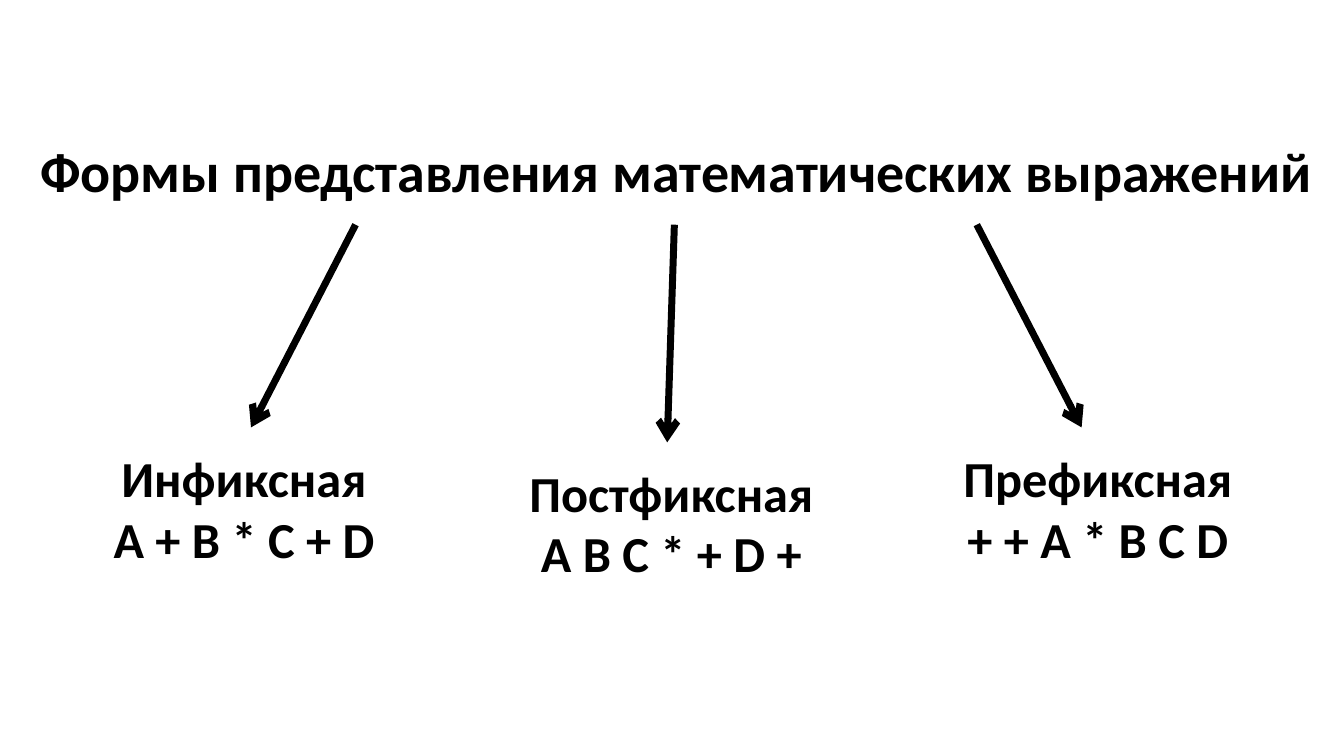
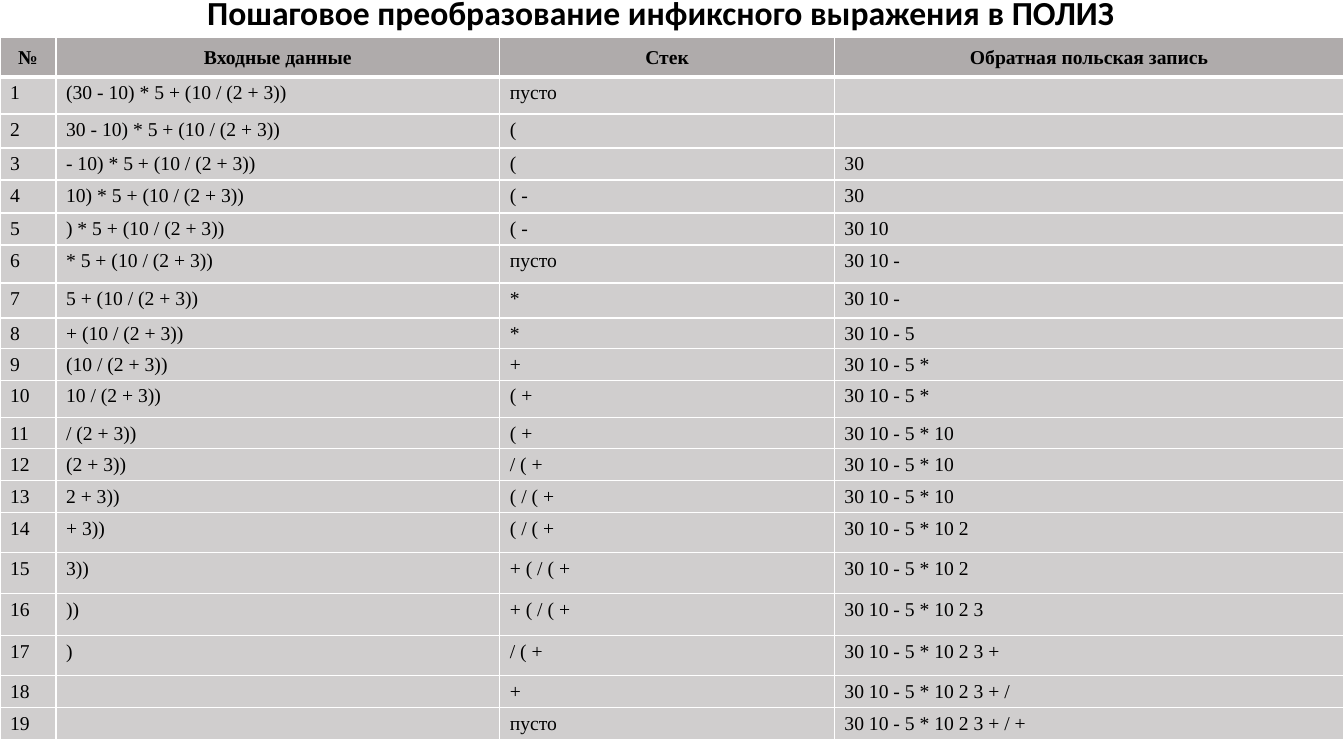
from lxml.etree import SubElement
from pptx import Presentation
from pptx.dml.color import RGBColor
from pptx.enum.shapes import MSO_CONNECTOR
from pptx.enum.text import MSO_ANCHOR, MSO_AUTO_SIZE, PP_ALIGN
from pptx.oxml.ns import qn
from pptx.util import Pt

BLACK, WHITE, HEADER_GRAY, BODY_GRAY = "000000", "FFFFFF", "AFABAB", "D0CECE"
HEADING_FONT, TABLE_FONT = "Calibri", "Times New Roman"

# Content: notation, expression, box (left, top, width, height), arrow (from, to)
FORMS_TITLE = "Формы представления математических выражений"
FORMS = [
    ("Инфиксная", "A + B * C + D", (40.3, 316, 268, 99), ((254, 160.5), (179.3, 305.3))),
    ("Постфиксная", "A B C * + D +", (345.6, 326.2, 268, 98), ((481.7, 160.5), (476.6, 316))),
    ("Префиксная", "+ + A * B C D", (650.2, 316, 268, 92), ((697.7, 160.5), (772.6, 305.3))),
]

STEPS_TITLE = "Пошаговое преобразование инфиксного выражения в ПОЛИЗ"
HEADERS = ("№", "Входные данные", "Стек", "Обратная польская запись")
COLUMN_WIDTHS = (40, 317, 239, 364)
HEADER_HEIGHT = 28.4
# Row height, remaining input, stack, output
STEPS = [
    (26.4, "(30 - 10) * 5 + (10 / (2 + 3))", "пусто", ""),
    (24.3, "30 - 10) * 5 + (10 / (2 + 3))", "(", ""),
    (22.9, "- 10) * 5 + (10 / (2 + 3))", "(", "30"),
    (23.6, "10) * 5 + (10 / (2 + 3))", "( -", "30"),
    (22.9, ") * 5 + (10 / (2 + 3))", "( -", "30 10"),
    (27.1, "* 5 + (10 / (2 + 3))", "пусто", "30 10 -"),
    (25, "5 + (10 / (2 + 3))", "*", "30 10 -"),
    (22.1, "+ (10 / (2 + 3))", "*", "30 10 - 5"),
    (22.5, "(10 / (2 + 3))", "+", "30 10 - 5 *"),
    (26.8, "10 / (2 + 3))", "( +", "30 10 - 5 *"),
    (22.1, "/ (2 + 3))", "( +", "30 10 - 5 * 10"),
    (22.9, "(2 + 3))", "/ ( +", "30 10 - 5 * 10"),
    (22.9, "2 + 3))", "( / ( +", "30 10 - 5 * 10"),
    (28.6, "+ 3))", "( / ( +", "30 10 - 5 * 10 2"),
    (29.3, "3))", "+ ( / ( +", "30 10 - 5 * 10 2"),
    (30, "))", "+ ( / ( +", "30 10 - 5 * 10 2 3"),
    (28.6, ")", "/ ( +", "30 10 - 5 * 10 2 3 +"),
    (22.9, "", "+", "30 10 - 5 * 10 2 3 + /"),
    (22.1, "", "пусто", "30 10 - 5 * 10 2 3 + / +"),
]


def color(value):
    return RGBColor.from_string(value)


def write(frame, *lines, size, font=HEADING_FONT, bold=True, align=PP_ALIGN.CENTER):
    for index, line in enumerate(lines):
        paragraph = frame.add_paragraph() if index else frame.paragraphs[0]
        paragraph.alignment = align
        if not line:
            # Keeps an empty table row from growing to the default text size
            paragraph._p.get_or_add_endParaRPr().set("sz", str(size * 100))
            continue
        run = paragraph.add_run()
        run.text = line
        run.font.size, run.font.name, run.font.bold = Pt(size), font, bold
        run.font.color.rgb = color(BLACK)


def add_titled_slide(deck, title_text, box, size):
    slide = deck.slides.add_slide(deck.slide_layouts[5])
    title = slide.shapes.title
    title.left, title.top, title.width, title.height = map(Pt, box)
    frame = title.text_frame
    frame.word_wrap, frame.auto_size = True, MSO_AUTO_SIZE.NONE
    frame.vertical_anchor = MSO_ANCHOR.MIDDLE
    write(frame, title_text, size=size)
    return slide


def add_arrow(slide, start, end):
    arrow = slide.shapes.add_connector(MSO_CONNECTOR.STRAIGHT, *map(Pt, start + end))
    arrow.line.color.rgb = color(BLACK)
    arrow.line.width = Pt(5)
    SubElement(arrow.line._get_or_add_ln(), qn("a:tailEnd"), type="arrow")
    SubElement(arrow._element.spPr, qn("a:effectLst"))


def style_cell(cell, fill, top=1, bottom=1):
    properties = cell._tc.get_or_add_tcPr()
    for side, width in (("L", 1), ("R", 1), ("T", top), ("B", bottom)):
        border = SubElement(properties, qn(f"a:ln{side}"), w=str(Pt(width)))
        SubElement(SubElement(border, qn("a:solidFill")), qn("a:srgbClr"), val=WHITE)
    cell.fill.solid()
    cell.fill.fore_color.rgb = color(fill)
    cell.margin_top, cell.margin_bottom = Pt(3.6), Pt(2)


def build_forms(deck):
    slide = add_titled_slide(deck, FORMS_TITLE, (10.8, 93.6, 944, 55.4), 40)
    for notation, expression, box, (start, end) in FORMS:
        add_arrow(slide, start, end)
        frame = slide.shapes.add_textbox(*map(Pt, box)).text_frame
        frame.word_wrap = True
        write(frame, notation, expression, size=36)


def build_steps(deck):
    slide = add_titled_slide(deck, STEPS_TITLE, (0, -9.4, 944, 36), 24)
    heights = [HEADER_HEIGHT] + [step[0] for step in STEPS]
    table = slide.shapes.add_table(
        len(heights), len(HEADERS), 0, Pt(26.64), Pt(sum(COLUMN_WIDTHS)), Pt(sum(heights))
    ).table
    table.horz_banding = False
    for column, width in zip(table.columns, COLUMN_WIDTHS):
        column.width = Pt(width)
    for row, height in zip(table.rows, heights):
        row.height = Pt(height)

    # Header row
    for cell, heading in zip(table.rows[0].cells, HEADERS):
        style_cell(cell, HEADER_GRAY, bottom=3)
        cell.vertical_anchor = MSO_ANCHOR.MIDDLE
        write(cell.text_frame, heading, size=14, font=TABLE_FONT)

    # Numbered steps
    for number, (_, *values) in enumerate(STEPS, 1):
        for cell, value in zip(table.rows[number].cells, [str(number), *values]):
            style_cell(cell, BODY_GRAY, top=3 if number == 1 else 1)
            write(cell.text_frame, value, size=14, font=TABLE_FONT, bold=False,
                  align=PP_ALIGN.LEFT)


def main():
    deck = Presentation()
    deck.slide_width, deck.slide_height = Pt(960), Pt(540)
    build_forms(deck)
    build_steps(deck)
    deck.save("out.pptx")


if __name__ == "__main__":
    main()
